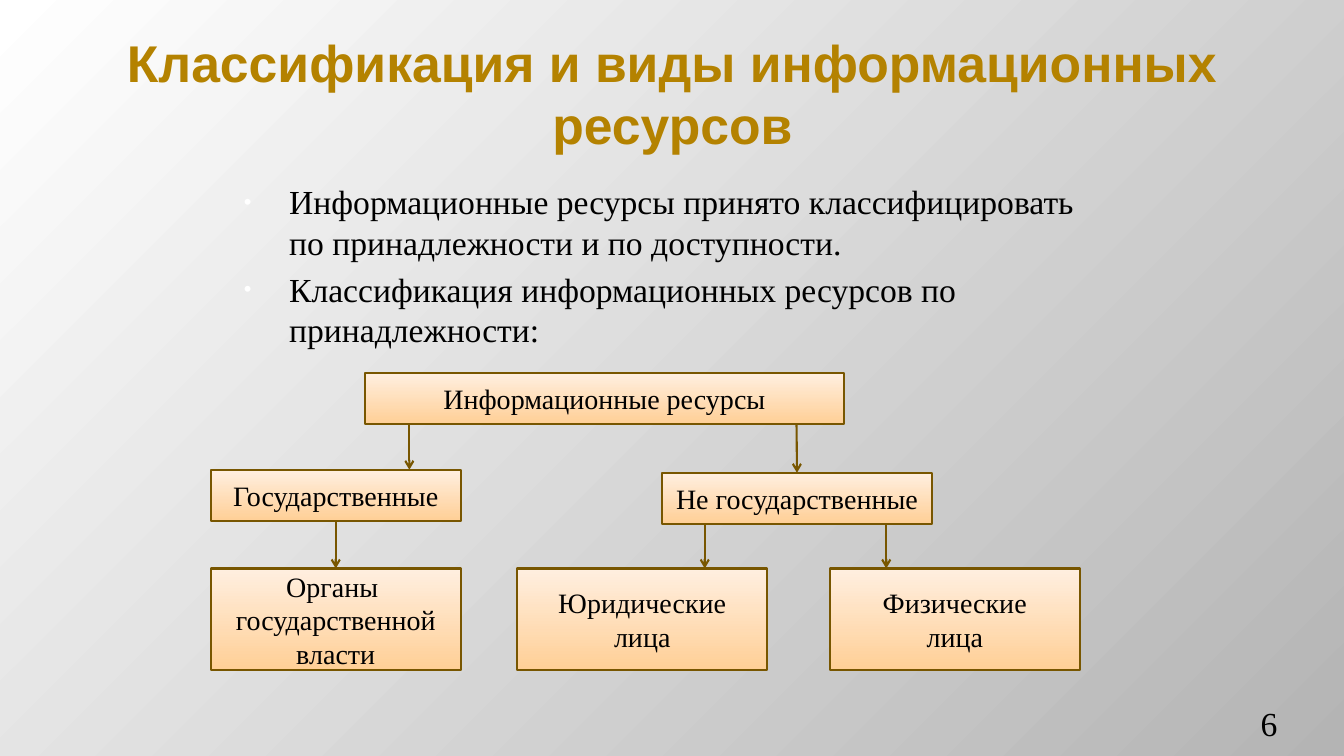
from lxml import etree
from pptx import Presentation
from pptx.dml.color import RGBColor
from pptx.enum.shapes import MSO_CONNECTOR as Connector, MSO_SHAPE as Shape
from pptx.enum.text import MSO_ANCHOR as Anchor, MSO_AUTO_SIZE as AutoSize, PP_ALIGN as Align
from pptx.oxml.ns import qn
from pptx.util import Inches, Pt

GOLD, BROWN, BLACK = "B48200", "785600", "000000"
SERIF = "Times New Roman"
BOTTOM, TOP = 2, 0


def color(value):
    return RGBColor.from_string(value)


def inches(*lengths):
    return [Inches(length) for length in lengths]


def add_element(parent, tag, **attributes):
    return etree.SubElement(parent, qn(tag), attributes)


def fill_gradient(fill, *stops):
    fill.gradient()
    for stop, value in zip(fill.gradient_stops, stops):
        stop.color.rgb = color(value)


def paint_background(page):
    """Spread the gradient from the top left corner."""
    fill_gradient(page.background.fill, "FFFFFF", "B4B4B4")
    gradient = page.element.find(".//" + qn("a:gradFill"))
    gradient.remove(gradient.find(qn("a:lin")))
    spread = etree.Element(qn("a:path"), path="circle")
    add_element(spread, "a:fillToRect", r="100000", b="100000")
    gradient.find(qn("a:gsLst")).addnext(spread)


def format_text(frame, size, align, value=BLACK, name=SERIF):
    for para in frame.paragraphs:
        para.alignment = align
        for span in para.runs:
            font = span.font
            font.size, font.name, font.color.rgb = Pt(size), name, color(value)


def set_title(page, text):
    title = page.shapes.title
    title.left, title.top, title.width, title.height = inches(0.67, 0.3, 12, 1.25)
    frame = title.text_frame
    frame.text = text
    frame.auto_size = AutoSize.NONE
    frame.vertical_anchor = Anchor.MIDDLE
    format_text(frame, 36.9, Align.CENTER, GOLD, "Arial")
    frame.paragraphs[0].runs[0].font.bold = True


def add_text(page, place, text, align):
    frame = page.shapes.add_textbox(*inches(*place)).text_frame
    frame.word_wrap = True
    frame.text = text
    format_text(frame, 24, align)
    return frame


def add_bullets(page, place, items):
    frame = add_text(page, place, "\n".join(items), Align.LEFT)
    for index, para in enumerate(frame.paragraphs):
        para.space_before = Pt(4.8 if index else 0)
        props = para._p.get_or_add_pPr()
        props.set("marL", str(Inches(0.6)))
        props.set("indent", str(Inches(-0.45)))
        add_element(add_element(props, "a:buClr"), "a:srgbClr", val="FFFFFF")
        add_element(props, "a:buSzPct", val="65000")
        add_element(props, "a:buFont", typeface="Arial")
        add_element(props, "a:buChar", char="•")


def add_page_number(page, place, number):
    frame = add_text(page, place, number, Align.RIGHT)
    frame.margin_left = frame.margin_right = 0
    frame.vertical_anchor = Anchor.BOTTOM


def add_box(page, place, text):
    box = page.shapes.add_shape(Shape.RECTANGLE, *inches(*place))
    box.shadow.inherit = False
    fill_gradient(box.fill, "FFCF96", "FFEFE0")
    box.fill.gradient_angle = 90
    box.line.color.rgb = color(BROWN)
    box.line.width = Pt(1.5)
    frame = box.text_frame
    frame.text = text
    frame.vertical_anchor = Anchor.MIDDLE
    format_text(frame, 20, Align.CENTER)
    return box


def add_arrow(page, x, upper, lower):
    """Draw a vertical arrow at x, joined to each box it meets mid-side."""
    start, end = upper.top + upper.height, lower.top
    arrow = page.shapes.add_connector(Connector.STRAIGHT, Inches(x), start, Inches(x), end)
    arrow.line.color.rgb = color(BROWN)
    arrow.line.width = Pt(1.5)
    add_element(arrow.line._get_or_add_ln(), "a:tailEnd", type="arrow")
    add_element(arrow.element.spPr, "a:effectLst")
    joins = (upper, arrow.begin_connect, BOTTOM), (lower, arrow.end_connect, TOP)
    for box, connect, side in joins:
        if abs(box.left + box.width / 2 - Inches(x)) < Inches(0.01):
            connect(box, side)


def main():
    deck = Presentation()
    deck.slide_width, deck.slide_height = inches(13.33, 7.5)
    page = deck.slides.add_slide(deck.slide_layouts[5])
    paint_background(page)
    set_title(page, "Классификация и виды информационных ресурсов")
    add_bullets(page, (2.17, 1.75, 9, 1.8), [
        "Информационные ресурсы принято классифицировать по принадлежности и по доступности.",
        "Классификация информационных ресурсов по принадлежности:",
    ])
    add_page_number(page, (11.56, 7.02, 1.11, 0.4), "6")

    resources = add_box(page, (3.62, 3.7, 4.75, 0.51), "Информационные ресурсы")
    public = add_box(page, (2.09, 4.66, 2.48, 0.51), "Государственные")
    private = add_box(page, (6.57, 4.69, 2.67, 0.51), "Не государственные")
    owners = [(2.09, "Органы \nгосударственной\nвласти"),
              (5.13, "Юридические\nлица"),
              (8.23, "Физические\nлица")]
    authorities, companies, citizens = [
        add_box(page, (left, 5.64, 2.48, 1.01), text) for left, text in owners]

    for x, upper, lower in [(4.06, resources, public), (7.9, resources, private),
                            (3.33, public, authorities),
                            (6.99, private, companies), (8.79, private, citizens)]:
        add_arrow(page, x, upper, lower)
    deck.save("out.pptx")


if __name__ == "__main__":
    main()
